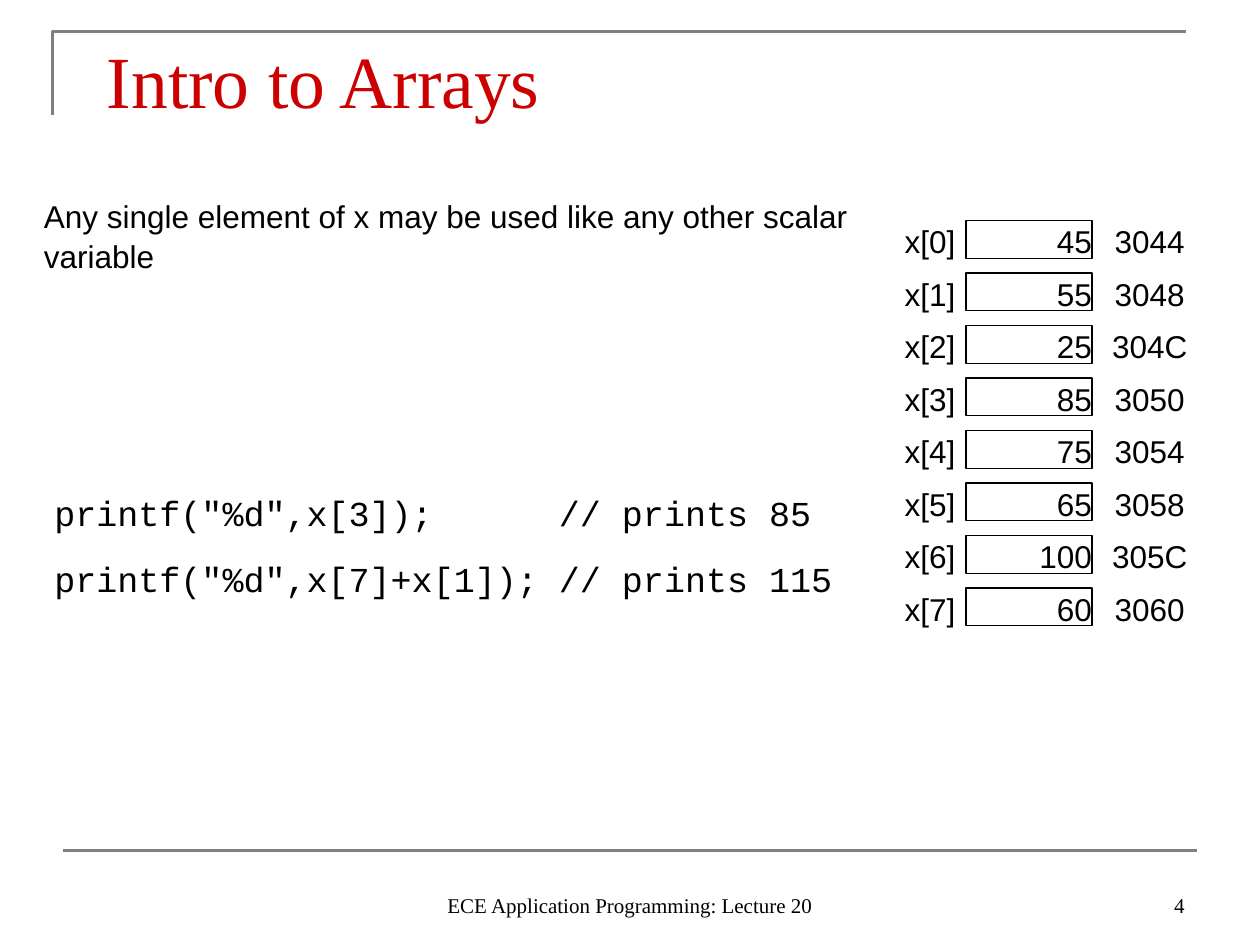
from lxml.etree import SubElement
from pptx import Presentation
from pptx.dml.color import RGBColor
from pptx.enum.shapes import MSO_CONNECTOR, MSO_SHAPE
from pptx.enum.text import MSO_ANCHOR as ANCHOR, MSO_AUTO_SIZE as AUTO, PP_ALIGN as ALIGN
from pptx.oxml.ns import qn
from pptx.util import Pt

PX = 7620
BLACK = RGBColor(0x00, 0x00, 0x00)
GRAY = RGBColor(0x80, 0x80, 0x80)
RED = RGBColor(0xCC, 0x00, 0x00)
SERIF, SANS, MONO = "Times New Roman", "Arial", "Courier New"
VALUES = [45, 55, 25, 85, 75, 65, 100, 60]
FIRST_ADDRESS = 0x3044
INT_BYTES = 4


def emu(*lengths):
    return [length * PX for length in lengths]


def write(shape, text, size, font, color=BLACK, align=ALIGN.LEFT, anchor=ANCHOR.TOP,
          insets=(12, 6, 12, 6), spacing=None, gap=0, grow=False):
    frame = shape.text_frame
    frame.text = text
    frame.word_wrap = True
    frame.auto_size = AUTO.SHAPE_TO_FIT_TEXT if grow else AUTO.NONE
    frame.vertical_anchor = anchor
    (frame.margin_left, frame.margin_top,
     frame.margin_right, frame.margin_bottom) = emu(*insets)
    for index, paragraph in enumerate(frame.paragraphs):
        paragraph.alignment = align
        if spacing:
            paragraph.line_spacing = spacing
        if index:
            paragraph.space_before = Pt(gap)
        for run in paragraph.runs:
            run.font.size = Pt(size)
            run.font.name = font
            run.font.color.rgb = color


def add_text(slide, box, text, size, font, **style):
    write(slide.shapes.add_textbox(*emu(*box)), text, size, font, **style)


def add_frame(slide, left, top, width, height):
    builder = slide.shapes.build_freeform(left, top + 80, scale=PX)
    builder.add_line_segments([(left, top), (left + width, top)], close=False)
    corner = builder.convert_to_shape()
    corner.fill.background()
    corner.shadow.inherit = False
    base = top + height
    rule = slide.shapes.add_connector(
        MSO_CONNECTOR.STRAIGHT, *emu(left + 10, base, left + width + 10, base))
    SubElement(rule._element.spPr, qn("a:effectLst"))
    for outline in (corner.line, rule.line):
        outline.color.rgb = GRAY
        outline.width = Pt(1.5)


def add_array(slide, left, top, pitch, height):
    style = dict(insets=(0, 0, 0, 0), spacing=1.05, grow=True)
    for index, value in enumerate(VALUES):
        y = top + index * pitch
        add_text(slide, (left, y, 110, height), f"x[{index}]", 18, SANS,
                 align=ALIGN.RIGHT, **style)
        cell = slide.shapes.add_shape(
            MSO_SHAPE.RECTANGLE, *emu(left + 120, y, 120, height))
        cell.shadow.inherit = False
        cell.fill.background()
        cell.line.color.rgb = BLACK
        cell.line.width = Pt(0.75)
        write(cell, str(value), 18, SANS, align=ALIGN.RIGHT, **style)
        address = FIRST_ADDRESS + index * INT_BYTES
        add_text(slide, (left + 240, y, 110, height), f"{address:X}", 18, SANS,
                 align=ALIGN.CENTER, **style)


def add_body(slide, left, top):
    add_text(slide, (left, top, 790, 84),
             "Any single element of x may be used like any other scalar variable",
             18, SANS, spacing=1.05, grow=True)
    add_text(slide, (left + 10, top + 280, 780, 174),
             'printf("%d",x[3]);      // prints 85\n'
             'printf("%d",x[7]+x[1]); // prints 115',
             20, MONO, spacing=1.05, gap=12.5)


def add_footer(slide, left, top, height):
    add_text(slide, (left, top, 380, height), "ECE Application Programming: Lecture 20",
             12, SERIF, align=ALIGN.CENTER, anchor=ANCHOR.BOTTOM)
    add_text(slide, (left + 450, top, 280, height), "4", 12, SERIF,
             align=ALIGN.RIGHT, anchor=ANCHOR.BOTTOM)


def main():
    deck = Presentation()
    deck.slide_width, deck.slide_height = emu(1200, 900)
    slide = deck.slides.add_slide(deck.slide_layouts[6])
    add_frame(slide, 50, 30, 1080, 780)
    add_text(slide, (90, 20, 1020, 70), "Intro to Arrays", 42, SERIF,
             color=RED, insets=(12, 13, 12, 0))
    add_array(slide, 800, 210, 50, 36)
    add_body(slide, 30, 180)
    add_footer(slide, 410, 820, 60)
    deck.save("out.pptx")


if __name__ == "__main__":
    main()
